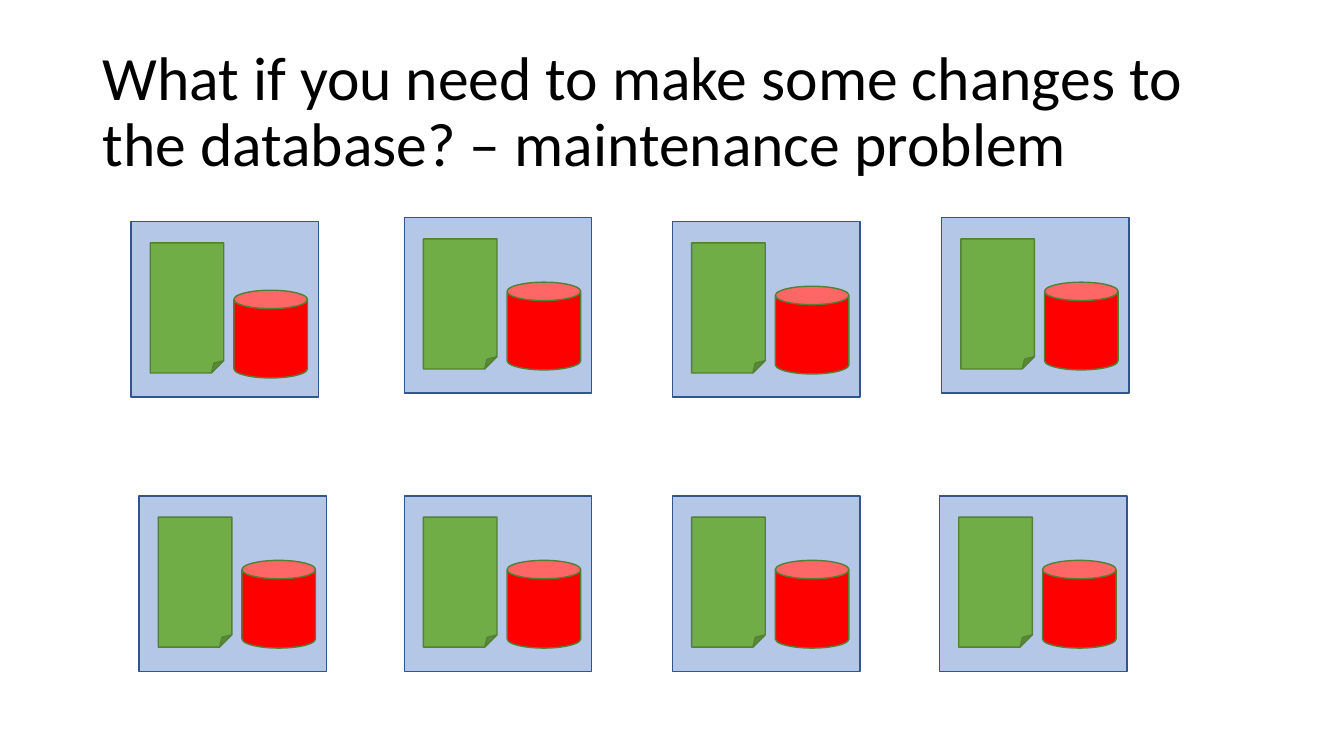
from pptx import Presentation
from pptx.dml.color import RGBColor
from pptx.enum.shapes import MSO_SHAPE
from pptx.enum.text import MSO_ANCHOR
from pptx.util import Inches, Pt

RECTANGLE = MSO_SHAPE.RECTANGLE
CAN = MSO_SHAPE.CAN
FOLDED_CORNER = MSO_SHAPE.FOLDED_CORNER
MIDDLE = MSO_ANCHOR.MIDDLE

THEME = {
    "font": "Calibri",
    "title_size": Pt(44),
    "title": RGBColor.from_string("000000"),
    "computer": RGBColor.from_string("B4C7E7"),
    "computer_line": RGBColor.from_string("325491"),
    "database": RGBColor.from_string("FF0000"),
    "program": RGBColor.from_string("70AD47"),
    "part_line": RGBColor.from_string("538035"),
    "line_width": Pt(1),
}

deck = Presentation()
deck.slide_width = Inches(13.33)
deck.slide_height = Inches(7.5)
page = deck.slides.add_slide(deck.slide_layouts[6])


def add_part(kind, left, top, width, height, fill, line):
    shape = page.shapes.add_shape(
        kind, Inches(left), Inches(top), Inches(width), Inches(height)
    )
    shape.shadow.inherit = False
    shape.fill.solid()
    shape.fill.fore_color.rgb = THEME[fill]
    shape.line.color.rgb = THEME[line]
    shape.line.width = THEME["line_width"]


title_box = page.shapes.add_textbox(
    Inches(0.92), Inches(0.4), Inches(11.5), Inches(1.45)
)
title_frame = title_box.text_frame
title_frame.word_wrap = True
title_frame.vertical_anchor = MIDDLE
title = title_frame.paragraphs[0]
title.text = "What if you need to make some changes to the database? – maintenance problem"
title.line_spacing = 0.9
title.font.name = THEME["font"]
title.font.size = THEME["title_size"]
title.font.color.rgb = THEME["title"]

computers = [
    (1.3, 2.2, 0.68), (4.01, 2.16, 0.64), (6.67, 2.2, 0.64), (9.34, 2.16, 0.64),
    (1.38, 4.92, 0.64), (4.01, 4.92, 0.64), (6.67, 4.92, 0.64), (9.32, 4.92, 0.64),
]
for left, top, database_drop in computers:
    add_part(RECTANGLE, left, top, 1.86, 1.74, "computer", "computer_line")
    add_part(CAN, left + 1.02, top + database_drop, 0.73, 0.87, "database", "part_line")
    add_part(FOLDED_CORNER, left + 0.19, top + 0.21, 0.73, 1.29, "program", "part_line")

deck.save("out.pptx")
